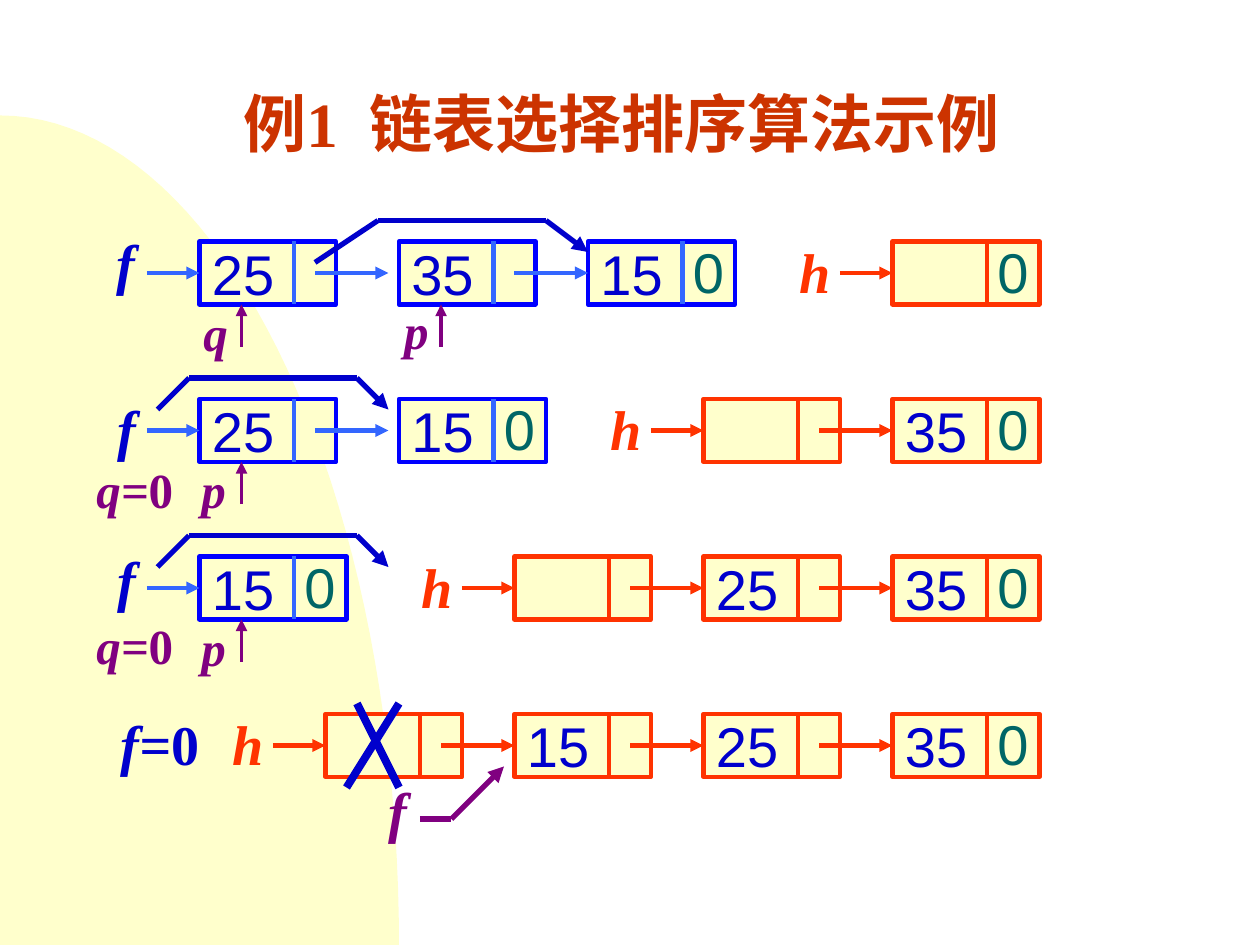
import math
from dataclasses import dataclass

from lxml import etree
from pptx import Presentation
from pptx import util as u
from pptx.dml.color import RGBColor
from pptx.enum import shapes, text
from pptx.oxml.ns import qn

# The slide is a grid of 120 columns by 90 rows, twelve to the inch
CELL = u.Inches(1) / 12
COLS, ROWS = 120, 90
NODE_H, DIVIDER, POINTER = 6, 9, 11

CREAM, RED, BLUE, SKY = "FFFFCC", "FF3300", "0000FF", "3366FF"
NAVY, PURPLE, TEAL, RUST = "0000CC", "800080", "006666", "CC3300"
SERIF, SANS = "Times New Roman", "Arial"

prs = Presentation()
prs.slide_width, prs.slide_height = u.Inches(10), u.Inches(7.5)
s = prs.slides.add_slide(prs.slide_layouts[6])


@dataclass
class Node:
    col: float
    value: str = ""
    last: bool = False
    linked: bool = True  # its pointer reaches the following node


@dataclass
class Chain:
    row: float
    nodes: list[Node]
    edge: str
    inner: str


@dataclass
class Label:
    col: float
    row: float
    name: str
    color: str
    size: int = 32
    suffix: str = ""


def g(n: float) -> int:
    return round(n * CELL)


def rgb(color: str) -> RGBColor:
    return RGBColor.from_string(color)


def style(p, size: int, font: str, color: str, bold: bool = False) -> None:
    p.alignment = text.PP_ALIGN.LEFT
    p.font.size, p.font.name, p.font.bold = u.Pt(size), font, bold
    p.font.color.rgb = rgb(color)


def text_box(col: float, row: float, w: float, h: float):
    tf = s.shapes.add_textbox(g(col), g(row), g(w), g(h)).text_frame
    tf.word_wrap = True
    return tf


def line(start: tuple, end: tuple, color: str, width: float = 2.5,
         arrow: bool = False):
    c = s.shapes.add_connector(shapes.MSO_CONNECTOR.STRAIGHT,
                               *(g(n) for n in (*start, *end)))
    c.line.color.rgb, c.line.width = rgb(color), u.Pt(width)
    if arrow:
        etree.SubElement(c.line._get_or_add_ln(), qn("a:tailEnd"), type="triangle")
    etree.SubElement(c._element.spPr, qn("a:effectLst"))
    return c


def route(points: list[tuple], color: str) -> None:
    """Bent arrow through the given points."""
    for i, (a, b) in enumerate(zip(points, points[1:]), 2):
        line(a, b, color, 3, arrow=i == len(points))


def draw_node(n: Node, row: float, edge: str, inner: str):
    sp = s.shapes.add_shape(shapes.MSO_SHAPE.RECTANGLE, g(n.col), g(row),
                            g(14 if n.last else 13), g(NODE_H))
    sp.shadow.inherit = False
    sp.fill.solid()
    sp.fill.fore_color.rgb = rgb(CREAM)
    sp.line.color.rgb, sp.line.width = rgb(edge), u.Pt(2.5)
    if n.value:
        tf = sp.text_frame
        tf.vertical_anchor = text.MSO_ANCHOR.MIDDLE
        tf.text = n.value
        style(tf.paragraphs[0], 32, SANS, NAVY)
    x = n.col + DIVIDER
    line((x, row), (x, row + NODE_H), inner)
    if n.last:
        tf = text_box(x - 0.2, row - 1, 5.4, 7.7)
        tf.text = "0"
        style(tf.paragraphs[0], 32, SANS, TEAL)
    return sp


def draw_chain(chain: Chain) -> None:
    y = chain.row + NODE_H / 2
    boxes = [draw_node(n, chain.row, chain.edge, chain.inner) for n in chain.nodes]
    first = chain.nodes[0].col
    head = line((first - 5, y), (first, y), chain.inner, arrow=True)
    head.end_connect(boxes[0], 1)
    for n, following in zip(chain.nodes, boxes[1:]):
        x = n.col + POINTER
        link = line((x, y), (x + 7, y), chain.inner, arrow=True)
        if n.linked:
            link.end_connect(following, 1)


def draw_label(lb: Label) -> None:
    tf = text_box(lb.col, lb.row, 12 if lb.suffix else 5.4, 7.7)
    p = tf.paragraphs[0]
    style(p, lb.size, SERIF, lb.color, bold=True)
    r = p.add_run()
    r.text, r.font.italic = lb.name, True
    if lb.suffix:
        p.add_run().text = lb.suffix


# Background: quarter ellipse centred on the lower left corner
RX, RY = 38, 79
arc = [(g(RX * math.sin(t)), g(ROWS - RY * math.cos(t)))
       for t in (math.radians(d) for d in range(0, 91, 2))]
builder = s.shapes.build_freeform(0, g(ROWS))
builder.add_line_segments(arc, close=True)
hill = builder.convert_to_shape()
hill.shadow.inherit = False
hill.fill.solid()
hill.fill.fore_color.rgb = rgb(CREAM)
hill.line.fill.background()

# Title
title = text_box(22, 8, 80, 9)
title.vertical_anchor = text.MSO_ANCHOR.MIDDLE
title.text = "例1  链表选择排序算法示例"
style(title.paragraphs[0], 36, SERIF, RUST, bold=True)
title.paragraphs[0].line_spacing = 0.7

# Unsorted list f and sorted list h, one step per row
STEPS = [23, 38, 53, 68]
unsorted = [
    [Node(19, "25", linked=False), Node(38, "35"), Node(56, "15", last=True)],
    [Node(19, "25", linked=False), Node(38, "15", last=True)],
    [Node(19, "15", last=True)],
]
for step, nodes in zip(STEPS, unsorted):
    draw_chain(Chain(step, nodes, BLUE, SKY))

LAST_COL, PITCH = 85, 18
ordered = ["35", "25", "15"]
for i, step in enumerate(STEPS):
    if i == 0:
        nodes = [Node(LAST_COL, last=True)]
    else:
        values = ["", *reversed(ordered[:i])]
        nodes = [Node(LAST_COL - PITCH * (i - k), v, last=k == i)
                 for k, v in enumerate(values)]
    draw_chain(Chain(step, nodes, RED, RED))
    draw_label(Label(nodes[0].col - 10, step - 1, "h", RED))

# Names of the pointers
for label in [
    Label(9.9, 21.2, "f", NAVY), Label(10, 37, "f", NAVY),
    Label(10, 51.4, "f", NAVY), Label(10.3, 67, "f=", NAVY, suffix="0"),
    Label(35.8, 73.4, "f", PURPLE),
    Label(18.2, 28.2, "q", PURPLE, 28), Label(37.3, 28, "p", PURPLE, 28),
    Label(18, 43.2, "p", PURPLE, 28), Label(18, 58.2, "p", PURPLE, 28),
    Label(8, 43.2, "q=", PURPLE, 28, "0"), Label(8, 58, "q=", PURPLE, 28, "0"),
]:
    draw_label(label)

# Upward markers under the current nodes
for col, step in [(23, STEPS[0]), (42, STEPS[0]), (23, STEPS[1]), (23, STEPS[2])]:
    line((col, step + 10), (col, step + NODE_H), PURPLE, 2.25, arrow=True)

# Bypass arrows that unlink the largest node
route([(30, 25), (36, 21), (52, 21), (56, 24)], NAVY)
for step in STEPS[1:3]:
    route([(15, step + 1), (18, step - 2), (34, step - 2), (37, step + 1)], NAVY)
route([(40, 78), (43, 78), (48, 73)], PURPLE)

# Cross over the discarded head node
line((38, 67), (33, 75), NAVY, 4.5)
line((34, 67), (38, 75), NAVY, 4.5)

prs.save("out.pptx")
